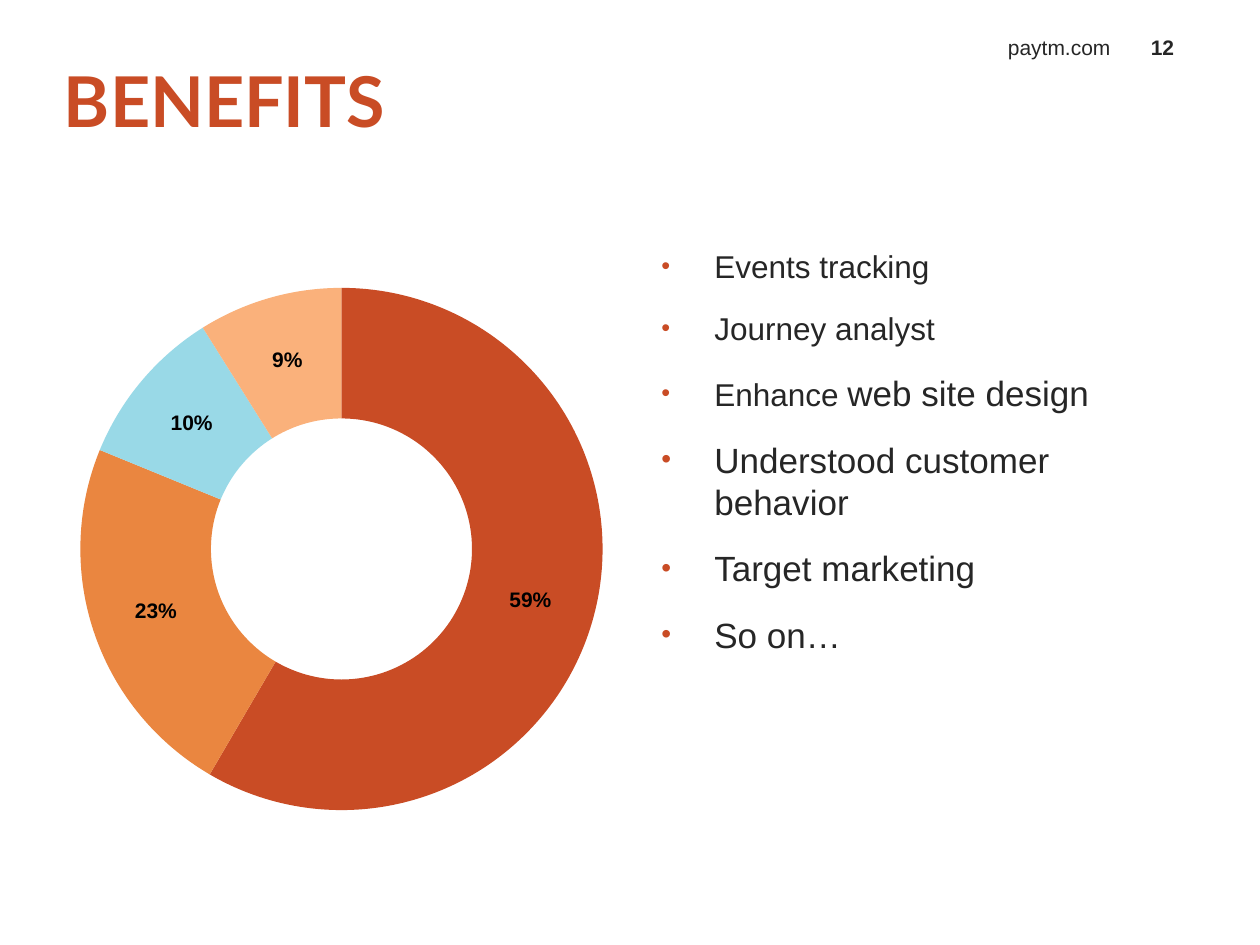
from lxml.etree import SubElement
from pptx import Presentation
from pptx.chart.data import CategoryChartData
from pptx.dml.color import RGBColor
from pptx.enum.chart import XL_CHART_TYPE as CT
from pptx.enum.text import MSO_ANCHOR as VA, PP_ALIGN as AL
from pptx.oxml.ns import qn
from pptx.util import Pt

PX = 914400 // 126
C = dict(title="C94C25", ink="262626", label="000000")
SLICES = [("1", 59, "C94C25"), ("2", 23, "EA8640"),
          ("3", 10, "99D9E7"), ("4", 9, "FAB17B")]
BULLETS = [
    [("Events tracking", 18)],
    [("Journey analyst", 18)],
    [("Enhance ", 18), ("web site design", 20)],
    [("Understood customer behavior", 20)],
    [("Target marketing", 20)],
    [("So on…", 20)],
]
TITLE = dict(name="Lato", size=Pt(40), bold=True)
SMALL = dict(name="Arial", size=Pt(12), bold=False)
LABELS = [
    ("BENEFITS", (64, 53, 639, 93), TITLE, "title", AL.LEFT,
     dict(vertical_anchor=VA.MIDDLE, margin_left=0, margin_right=0)),
    ("paytm.com", (798, 24, 325, 42), SMALL, "ink", AL.RIGHT,
     dict(vertical_anchor=VA.BOTTOM)),
    ("12", (1128, 24, 69, 42), dict(SMALL, bold=True), "ink", AL.CENTER,
     dict(vertical_anchor=VA.BOTTOM)),
]
CHART_BOX = (63, 237, 557, 624)
LIST_BOX = (640, 237, 557, 624)


def emu(box):
    return [v * PX for v in box]


def style(font, color, fmt):
    for key, value in fmt.items():
        setattr(font, key, value)
    font.color.rgb = RGBColor.from_string(C[color])


def add_text(s, box, **frame):
    tf = s.shapes.add_textbox(*emu(box)).text_frame
    for key, value in dict(word_wrap=True, **frame).items():
        setattr(tf, key, value)
    return tf


def add_run(p, text, color, fmt):
    r = p.add_run()
    r.text = text
    style(r.font, color, fmt)


def add_bullet(p):
    pPr = p._p.get_or_add_pPr()
    pPr.set("marL", str(62 * PX))
    pPr.set("indent", str(-53 * PX))
    color = SubElement(pPr, qn("a:buClr"))
    SubElement(color, qn("a:srgbClr")).set("val", C["title"])
    SubElement(pPr, qn("a:buSzPct")).set("val", "80000")
    SubElement(pPr, qn("a:buFont")).set("typeface", "Arial")
    SubElement(pPr, qn("a:buChar")).set("char", "•")


def add_doughnut(s):
    data = CategoryChartData()
    data.categories = [name for name, _, _ in SLICES]
    data.add_series("Series 1", [value for _, value, _ in SLICES])
    chart = s.shapes.add_chart(CT.DOUGHNUT, *emu(CHART_BOX), data).chart
    chart.has_legend = chart.has_title = False
    style(chart.font, "label", dict(name="Arial", size=Pt(10)))
    plot = chart.plots[0]
    plot.vary_by_categories = True
    plot._element.find(qn("c:holeSize")).set("val", "50")
    for i, (_, _, color) in enumerate(SLICES):
        fmt = plot.series[0].points[i].format
        fmt.fill.solid()
        fmt.fill.fore_color.rgb = RGBColor.from_string(color)
        fmt.line.fill.background()
    plot.has_data_labels = True
    labels = plot.data_labels
    for key, value in dict(show_value=True, show_percentage=False,
                           number_format='0"%"',
                           number_format_is_linked=False).items():
        setattr(labels, key, value)
    style(labels.font, "label", dict(SMALL, bold=True))


def main():
    prs = Presentation()
    prs.slide_width, prs.slide_height = emu((1260, 945))
    s = prs.slides.add_slide(prs.slide_layouts[6])
    for text, box, fmt, color, align, frame in LABELS:
        p = add_text(s, box, **frame).paragraphs[0]
        p.alignment = align
        add_run(p, text, color, fmt)
    tf = add_text(s, LIST_BOX, margin_top=10 * PX)
    for i, runs in enumerate(BULLETS):
        p = tf.add_paragraph() if i else tf.paragraphs[0]
        add_bullet(p)
        p.space_after = Pt(10)
        if i:
            p.space_before = Pt(4)
        for text, size in runs:
            add_run(p, text, "ink", dict(name="Arial", size=Pt(size)))
    add_doughnut(s)
    prs.save("out.pptx")


if __name__ == "__main__":
    main()
